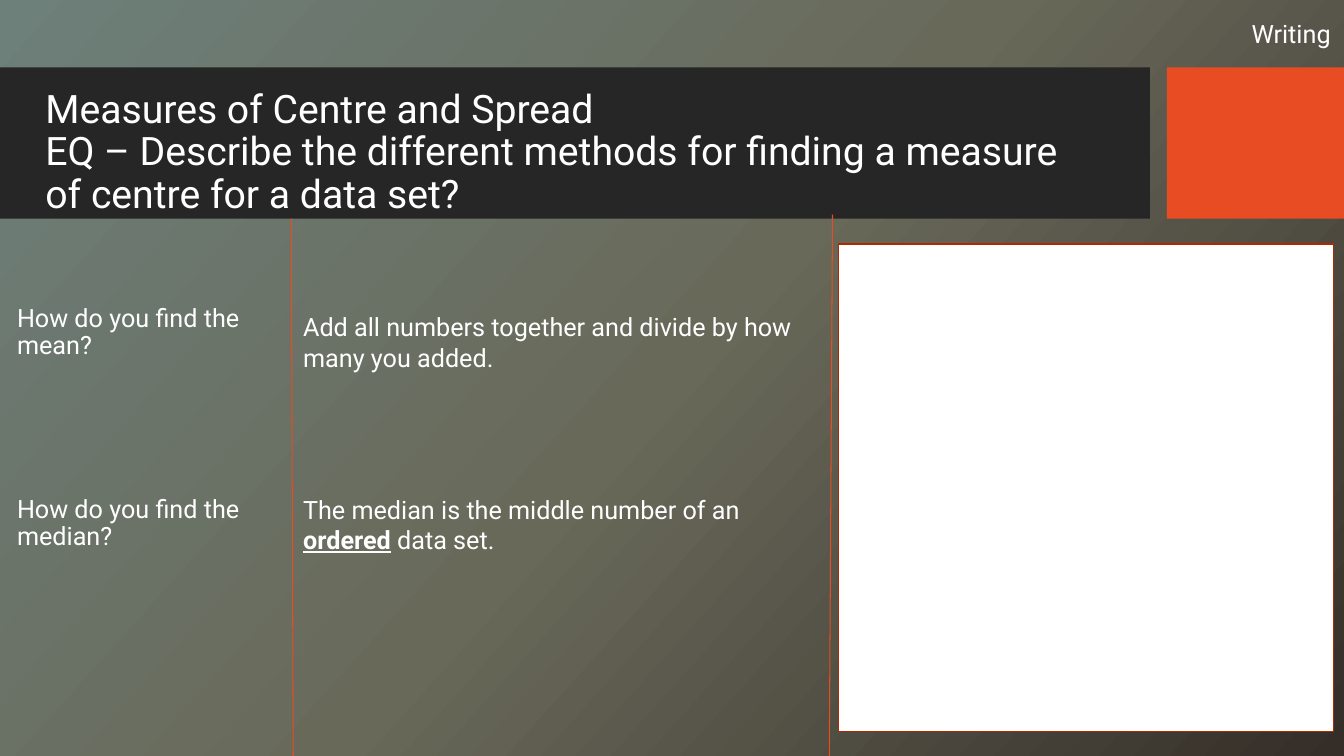
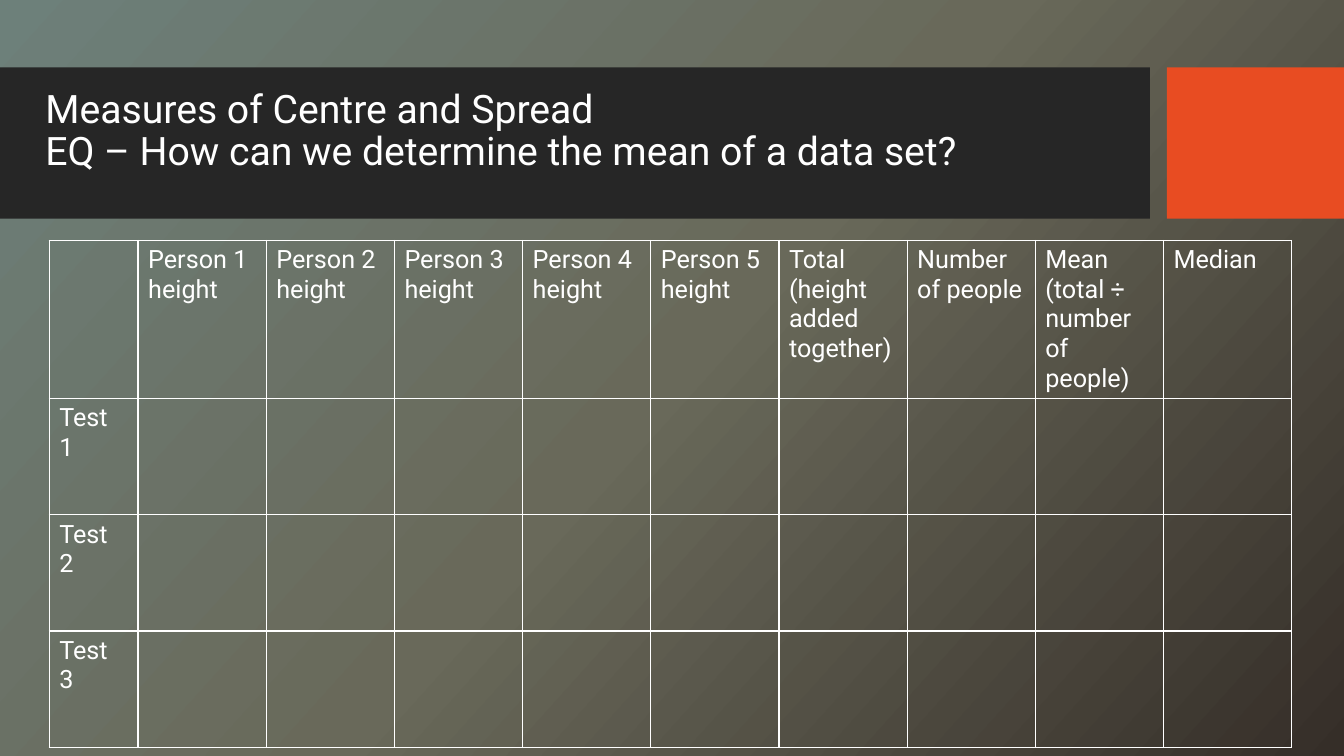
from copy import deepcopy

from lxml.etree import SubElement
from pptx import Presentation
from pptx.dml.color import RGBColor
from pptx.enum.shapes import MSO_CONNECTOR as Connector, MSO_SHAPE as Shape
from pptx.enum.text import MSO_ANCHOR as Anchor, MSO_AUTO_SIZE as AutoSize, PP_ALIGN as Align
from pptx.oxml.ns import qn
from pptx.util import Cm, Pt

WHITE = RGBColor(0xFF, 0xFF, 0xFF)
CHARCOAL = RGBColor(0x26, 0x26, 0x26)
ORANGE = RGBColor(0xE8, 0x4C, 0x22)
RUST = RGBColor(0xB2, 0x26, 0x00)
BACKDROP = [
    (0, RGBColor(0x6D, 0x80, 0x7A)),
    (0.5, RGBColor(0x69, 0x69, 0x5A)),
    (1, RGBColor(0x35, 0x2E, 0x28)),
]
FONT = "Roboto"
WIDTH, HEIGHT = 33.87, 19.05
BAND_TOP, BAND_HEIGHT = 1.7, 3.81
NO_STYLE = "{2D5ABB26-0587-4C30-8999-92F81FD0307C}"
TOPIC = "Measures of Centre and Spread"

HEADINGS = [
    [""],
    ["Person 1", "height"],
    *([f"Person {number} height"] for number in range(2, 6)),
    ["Total", "(height added together)"],
    ["Number of people"],
    ["Mean", "(total ÷ number of people)"],
    ["Median"],
]
TESTS = ["Test 1", "Test 2", "Test 3"]


def apply(target, values):
    """Set each named attribute of the target."""
    for name, value in values.items():
        setattr(target, name, value)


def write(frame, paragraphs, size=18, **layout):
    """Fill a frame with paragraphs, each a string or a list of (text, format) runs."""
    for index, content in enumerate(paragraphs):
        paragraph = frame.paragraphs[0] if index == 0 else frame.add_paragraph()
        apply(paragraph, layout)
        if index == 0:
            paragraph.space_before = Pt(0)
        runs = [(content, {})] if isinstance(content, str) else content
        for text, emphasis in runs:
            run = paragraph.add_run()
            run.text = text
            apply(run.font, {"name": FONT, "size": Pt(size), **emphasis})
            run.font.color.rgb = WHITE


def add_text(slide, left, top, width, height, paragraphs, wrap=True, **layout):
    """Add a text box."""
    frame = slide.shapes.add_textbox(Cm(left), Cm(top), Cm(width), Cm(height)).text_frame
    frame.word_wrap = wrap
    write(frame, paragraphs, **layout)


def add_box(slide, left, top, width, height, fill, outline=None):
    """Add a filled rectangle with an optional outline."""
    box = slide.shapes.add_shape(Shape.RECTANGLE, Cm(left), Cm(top), Cm(width), Cm(height))
    box.shadow.inherit = False
    box.fill.solid()
    box.fill.fore_color.rgb = fill
    if outline is None:
        box.line.fill.background()
    else:
        box.line.color.rgb = outline
        box.line.width = Pt(1)
    return box


def add_divider(slide, start, end):
    """Add a thin orange line between two points."""
    divider = slide.shapes.add_connector(Connector.STRAIGHT, *map(Cm, start + end))
    divider.line.color.rgb = ORANGE
    divider.line.width = Pt(0.75)
    SubElement(divider.element.spPr, qn("a:effectLst"))


def style_layout(prs, layout):
    """Give the layout its gradient and its two title bands."""
    for placeholder in list(layout.placeholders)[1:]:
        placeholder.element.getparent().remove(placeholder.element)
    fill = layout.background.fill
    fill.gradient()
    fill.gradient_angle = 318
    stops = layout.element.find(".//" + qn("a:gsLst"))
    stops.append(deepcopy(stops[0]))
    for stop, (position, colour) in zip(fill.gradient_stops, BACKDROP):
        stop.position = position
        stop.color.rgb = colour
    slide = prs.slides[0]
    for left, width, colour in ((0, 28.98, CHARCOAL), (29.41, 4.46, ORANGE)):
        band = add_box(slide, left, BAND_TOP, width, BAND_HEIGHT, colour)
        layout.shapes.element.insert(2, band.element)


def set_title(slide, question):
    """Place the topic and its essential question on the dark band."""
    title = slide.shapes.title
    places = {"left": 0.89, "top": 2.13, "width": 26.75, "height": 3.38}
    apply(title, {side: Cm(length) for side, length in places.items()})
    apply(title.text_frame, {
        "vertical_anchor": Anchor.TOP, "auto_size": AutoSize.NONE, "word_wrap": True,
    })
    write(title.text_frame, [TOPIC, question], size=28, line_spacing=0.9, alignment=Align.LEFT)


def format_cell(cell, paragraphs):
    """Write a clear cell with white borders."""
    cell.fill.background()
    properties = cell._tc.get_or_add_tcPr()
    for index, side in enumerate(("lnL", "lnR", "lnT", "lnB")):
        border = SubElement(properties, qn(f"a:{side}"), w=str(Pt(1)))
        colour = SubElement(SubElement(border, qn("a:solidFill")), qn("a:srgbClr"))
        colour.set("val", str(WHITE))
        properties.insert(index, border)
    write(cell.text_frame, paragraphs)


def add_heights_table(slide):
    """Add the table of heights for each test."""
    columns = [2.24] + [3.23] * (len(HEADINGS) - 1)
    rows = [3.98] + [2.93] * len(TESTS)
    table = slide.shapes.add_table(
        len(rows), len(columns), Cm(1.24), Cm(6.06), Cm(sum(columns)), Cm(sum(rows))
    ).table
    apply(table, {"first_row": False, "horz_banding": False})
    table._tbl.tblPr.find(qn("a:tableStyleId")).text = NO_STYLE
    for column, width in zip(table.columns, columns):
        column.width = Cm(width)
    for row, height in zip(table.rows, rows):
        row.height = Cm(height)
    blanks = [[""]] * (len(HEADINGS) - 1)
    contents = [HEADINGS] + [[[test]] + blanks for test in TESTS]
    for row, texts in zip(table.rows, contents):
        for cell, paragraphs in zip(row.cells, texts):
            format_cell(cell, paragraphs)


def fill_methods_slide(slide):
    """Lay out the questions, the answers and the writing panel."""
    set_title(slide, "EQ – Describe the different methods for finding a measure "
                     "of centre for a data set?")
    add_text(slide, 0.18, 7.57, 7.16, 7, [
        "How do you find the mean?",
        "How do you find the median?",
    ], line_spacing=0.9, space_before=Pt(98))
    add_divider(slide, (7.34, 5.51), (7.39, HEIGHT))
    add_text(slide, 31.29, 0.33, 2.57, 1.02, ["Writing"], wrap=False)
    add_text(slide, 7.39, 7.73, 13.28, 7, [
        "Add all numbers together and divide by how many you added.",
        [
            ("The median is the middle number of an ", {}),
            ("ordered", {"bold": True, "underline": True}),
            (" data set.", {}),
        ],
    ], space_before=Pt(87))
    add_divider(slide, (20.98, 5.41), (20.9, HEIGHT))
    add_box(slide, 21.13, 6.15, 12.47, 12.29, WHITE, RUST)


def fill_mean_slide(slide):
    """Lay out the table for working out the mean."""
    set_title(slide, "EQ – How can we determine the mean of a data set?")
    add_heights_table(slide)


def main():
    """Build and save the presentation."""
    prs = Presentation()
    apply(prs, {"slide_width": Cm(WIDTH), "slide_height": Cm(HEIGHT)})
    layout = prs.slide_layouts[5]
    methods, mean = (prs.slides.add_slide(layout) for _ in range(2))
    style_layout(prs, layout)
    fill_methods_slide(methods)
    fill_mean_slide(mean)
    prs.save("out.pptx")


if __name__ == "__main__":
    main()
